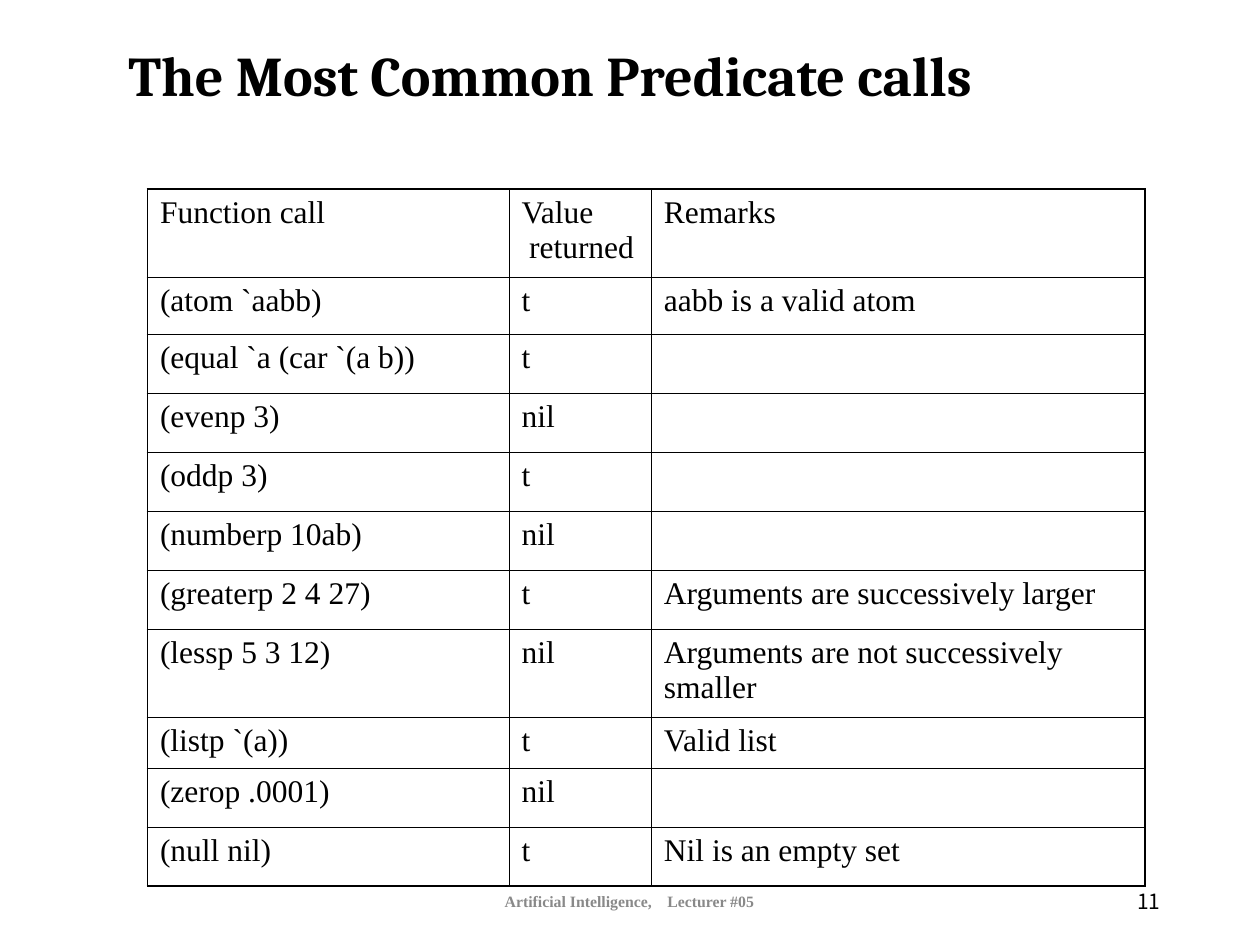
from collections import namedtuple

from pptx import Presentation
from pptx import util as u
from pptx.dml.color import RGBColor
from pptx.enum import text
from pptx.oxml import parse_xml
from pptx.oxml.ns import nsdecls

Box = namedtuple("Box", "left top width height")

WIDTH, HEIGHT = u.Inches(10), u.Inches(7.5)
COLOURS = {"ink": "000000", "footer": "898989"}
SERIF = "Times New Roman"
THIN, THICK = 0.45, 1.08

COLUMNS = (2.87, 1.13, 3.92)
ROW = 0.47
ROWS = [  # height, then the cells
    (0.7, "Function call", "Value returned", "Remarks"),
    (0.45, "(atom `aabb)", "t", "aabb is a valid atom"),
    (ROW, "(equal `a (car `(a b))", "t", ""),
    (ROW, "(evenp 3)", "nil", ""),
    (ROW, "(oddp 3)", "t", ""),
    (ROW, "(numberp 10ab)", "nil", ""),
    (ROW, "(greaterp 2 4 27)", "t", "Arguments are successively larger"),
    (0.7, "(lessp 5 3 12)", "nil", "Arguments are not successively smaller"),
    (0.4, "(listp `(a))", "t", "Valid list"),
    (ROW, "(zerop .0001)", "nil", ""),
    (ROW, "(null nil)", "t", "Nil is an empty set"),
]


def share(left, top, width, height):
    """Turn shares of the slide, in percent, into a box."""
    return Box(int(WIDTH * left / 100), int(HEIGHT * top / 100),
               int(WIDTH * width / 100), int(HEIGHT * height / 100))


def set_font(para, name, size, colour, bold=False):
    font = para.font
    font.name, font.size, font.bold = name, u.Pt(size), bold
    font.color.rgb = RGBColor.from_string(COLOURS[colour])


def add_text(page, box, align):
    frame = page.shapes.add_textbox(*box).text_frame
    frame.word_wrap = True
    frame.vertical_anchor = text.MSO_ANCHOR.MIDDLE
    para = frame.paragraphs[0]
    para.alignment = align
    return para


def add_title(page, box):
    para = add_text(page, box, text.PP_ALIGN.LEFT)
    para.line_spacing = 0.9
    para.add_run().text = "The Most Common Predicate calls"
    set_font(para, "Cambria", 32, "ink", bold=True)


def add_footer(page, box):
    para = add_text(page, box, text.PP_ALIGN.CENTER)
    for words in ("Artificial Intelligence,", " ", "Lecturer #05"):
        span = para.add_run()
        span.text = words
        if words == " ":  # one wide space parts the two halves
            span.font._element.set("spc", "675")
    set_font(para, SERIF, 9, "footer", bold=True)


def add_page_number(page, box):
    para = add_text(page, box, text.PP_ALIGN.RIGHT)
    para.add_run().text = "11"
    set_font(para, "Noto Sans CJK KR", 12, "ink")


def set_borders(cell, outer_sides):
    """Draw thick lines on the table's outer sides and thin ones elsewhere."""
    properties = cell._tc.get_or_add_tcPr()
    for index, side in enumerate("LRTB"):
        width = u.Pt(THICK if side in outer_sides else THIN)
        properties.insert(index, parse_xml(
            f'<a:ln{side} {nsdecls("a")} w="{width}"><a:solidFill>'
            f'<a:srgbClr val="{COLOURS["ink"]}"/></a:solidFill></a:ln{side}>'))


def add_predicates(page, box):
    table = page.shapes.add_table(len(ROWS), len(COLUMNS), *box).table
    table.first_row = table.horz_banding = False
    for column, part in zip(table.columns, COLUMNS):
        column.width = int(box.width * part / sum(COLUMNS))

    total = sum(height for height, *_ in ROWS)
    for r, (height, *words) in enumerate(ROWS):
        table.rows[r].height = int(box.height * height / total)
        for c, word in enumerate(words):
            cell = table.cell(r, c)
            cell.fill.background()
            para = cell.text_frame.paragraphs[0]
            if word:
                para.add_run().text = word
            set_font(para, SERIF, 18, "ink")
            edges = {"L": c == 0, "R": c == len(COLUMNS) - 1,
                     "T": r == 0, "B": r == len(ROWS) - 1}
            set_borders(cell, [side for side, outer in edges.items() if outer])

    # Hanging indent for the second line of the middle heading
    indent = u.Inches(0.06)
    heading = table.cell(0, 1).text_frame.paragraphs[0]._p.get_or_add_pPr()
    heading.set("marL", str(indent))
    heading.set("indent", str(-indent))


def main():
    deck = Presentation()
    deck.slide_width, deck.slide_height = WIDTH, HEIGHT
    page = deck.slides.add_slide(deck.slide_layouts[6])
    add_title(page, share(9.2, 0, 85, 16.67))
    add_footer(page, share(33.1, 92.67, 33.7, 5.33))
    add_page_number(page, share(70.6, 92.67, 22.5, 5.33))
    add_predicates(page, share(11.7, 20, 79.2, 73.75))
    deck.save("out.pptx")


if __name__ == "__main__":
    main()
